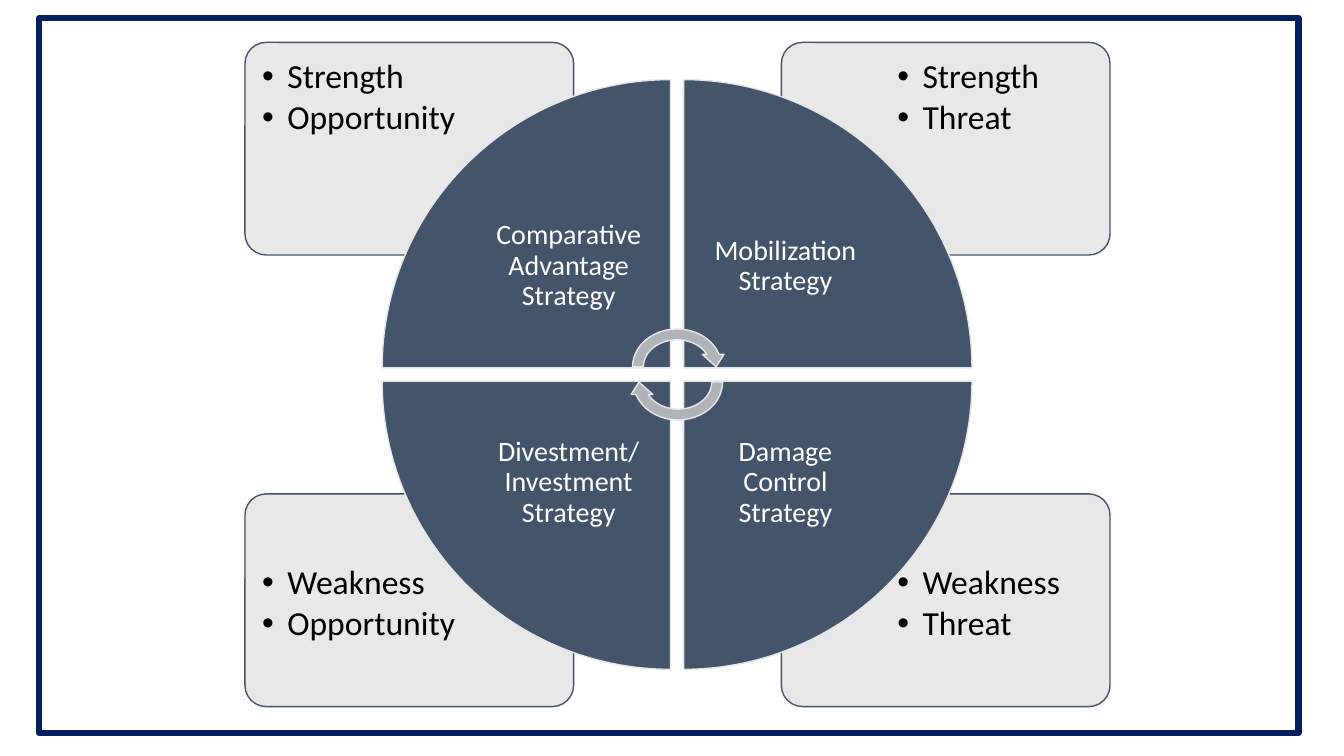
import pptx
import pptx.util
import pptx.dml.color
import pptx.enum.shapes
import pptx.enum.text
import pptx.oxml.ns
from lxml import etree

Inches, Pt = pptx.util.Inches, pptx.util.Pt
SHAPE = pptx.enum.shapes.MSO_SHAPE
ALIGN = pptx.enum.text.PP_ALIGN
ANCHOR = pptx.enum.text.MSO_ANCHOR
qn = pptx.oxml.ns.qn
NAVY, SLATE, PALE, ARROW = "002060", "44546A", "E7E6E6", "B0B4B9"


def add_shape(kind, box, fill, line, width=1, rotation=0):
    """Add a preset shape with hex colours; a fill of None leaves it empty."""
    sp = s.shapes.add_shape(kind, *map(Inches, box))
    sp.shadow.inherit = False
    sp.rotation = rotation
    if fill:
        sp.fill.solid()
        sp.fill.fore_color.rgb = pptx.dml.color.RGBColor.from_string(fill)
    else:
        sp.fill.background()
    sp.line.color.rgb = pptx.dml.color.RGBColor.from_string(line)
    sp.line.width = Pt(width)
    return sp


def add_text(box, lines, size, color, inset, after, anchor, bullet=False):
    """Add a text box with one paragraph a line, bulleted or centred."""
    tf = s.shapes.add_textbox(*map(Inches, box)).text_frame
    tf.word_wrap = True
    tf.vertical_anchor = anchor
    tf.margin_left = tf.margin_right = Inches(inset)
    tf.margin_top = tf.margin_bottom = Inches(inset)
    for i, line in enumerate(lines):
        p = tf.add_paragraph() if i else tf.paragraphs[0]
        p.line_spacing = 0.9
        p.space_after = Pt(after)
        if bullet:
            pPr = p._p.get_or_add_pPr()
            pPr.set("marL", str(Inches(0.25)))
            pPr.set("indent", str(-Inches(0.25)))
            etree.SubElement(pPr, qn("a:buFont")).set("typeface", "Arial")
            etree.SubElement(pPr, qn("a:buChar")).set("char", "•")
        else:
            p.alignment = ALIGN.CENTER
        for j, part in enumerate(line.split("\n")):
            if j:
                p.add_line_break()
            r = p.add_run()
            r.text = part
            r.font.size = Pt(size)
            r.font.name = "Calibri"
            r.font.color.rgb = pptx.dml.color.RGBColor.from_string(color)


prs = pptx.Presentation()
prs.slide_width, prs.slide_height = Inches(13.33), Inches(7.5)
s = prs.slides.add_slide(prs.slide_layouts[6])

add_shape(SHAPE.RECTANGLE, (0.39, 0.18, 12.49, 7.09), None, NAVY, 4.5)

# Corner cards: column, row, factors
cards = [
    (1, 1, ["Weakness", "Threat"]),
    (0, 1, ["Weakness", "Opportunity"]),
    (1, 0, ["Strength", "Threat"]),
    (0, 0, ["Strength", "Opportunity"]),
]
for col, row, factors in cards:
    box = (2.43 + 5.32 * col, 0.42 + 4.48 * row, 3.26, 2.11)
    card = add_shape(SHAPE.ROUNDED_RECTANGLE, box, PALE, SLATE)
    card.adjustments[0] = 0.1
    color = card.fill._xPr.find(qn("a:solidFill"))[0]
    etree.SubElement(color, qn("a:alpha")).set("val", "90000")
    add_text((2.47 + 6.3 * col, 0.46 + 5.02 * row, 2.19, 1.49),
             factors, 24, "000000", 0.13, 3.6, ANCHOR.TOP, bullet=True)

# Quadrants, clockwise from top left: column, row, strategy
quadrants = [
    (0, 0, "Comparative Advantage Strategy"),
    (1, 0, "Mobilization Strategy"),
    (1, 1, "Damage Control Strategy"),
    (0, 1, "Divestment/\nInvestment Strategy"),
]
for turn, (col, row, strategy) in enumerate(quadrants):
    box = (3.79 + 2.99 * col, 0.79 + 2.99 * row, 2.86, 2.86)
    add_shape(SHAPE.PIE_WEDGE, box, SLATE, PALE, rotation=90 * turn)
    add_text((4.63 + 2.15 * col, 1.63 + 2.15 * row, 2.02, 2.02),
             [strategy], 20, "FFFFFF", 0.16, 7, ANCHOR.MIDDLE)

for left, top, rotation in [(6.22, 3.21, 0), (6.23, 3.36, 180)]:
    add_shape(SHAPE.CIRCULAR_ARROW, (left, top, 0.99, 0.86), ARROW, PALE, rotation=rotation)

prs.save("out.pptx")
